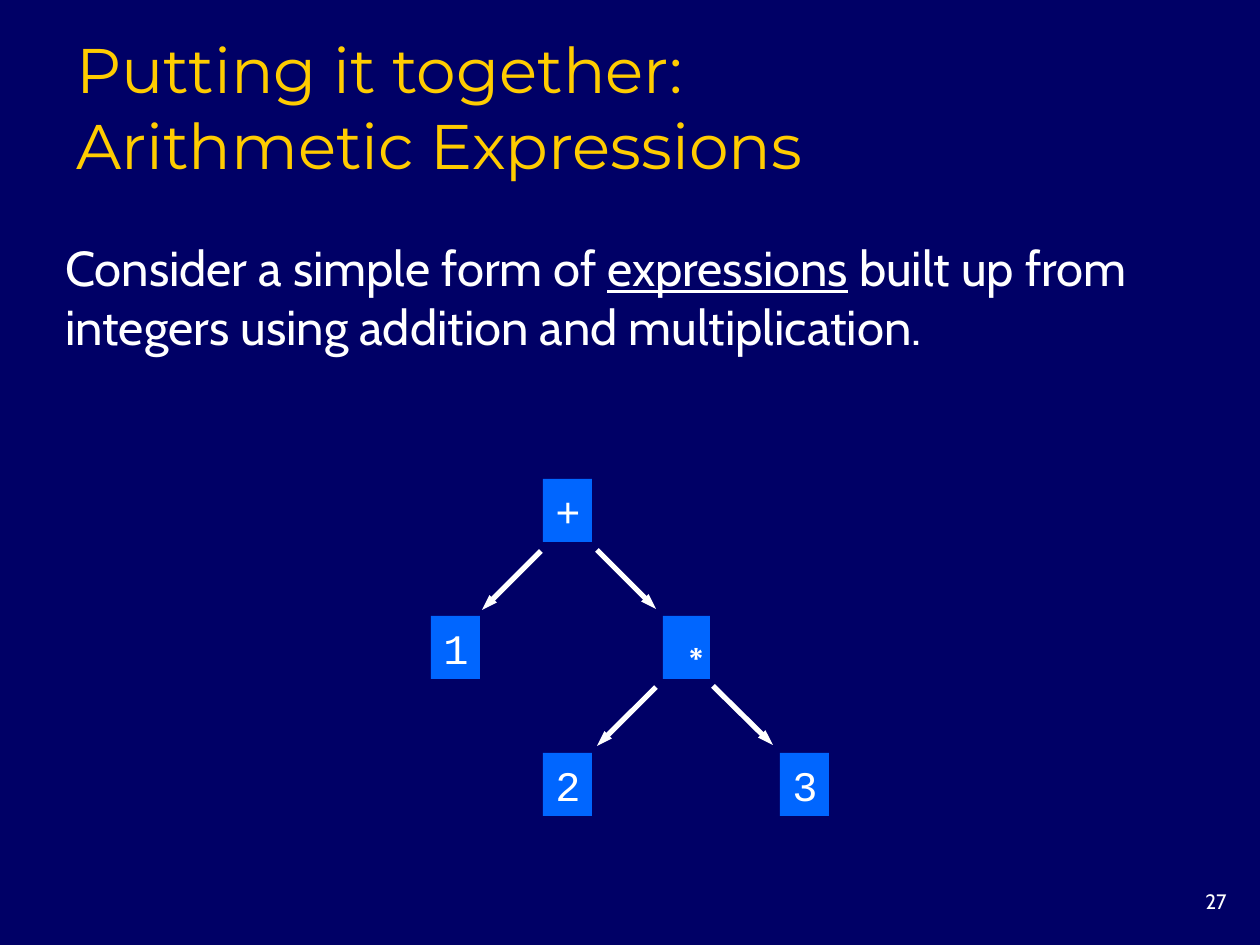
import pptx
import pptx.util
import pptx.dml.color
import pptx.enum.shapes
import pptx.enum.text
import pptx.oxml.ns
import lxml.etree

PX = 914400 / 126
COLORS = {"background": "000066", "title": "FFCC00", "text": "FFFFFF", "node": "0066FF"}
ALIGN = pptx.enum.text.PP_ALIGN
ANCHOR = pptx.enum.text.MSO_ANCHOR
AUTO_SIZE = pptx.enum.text.MSO_AUTO_SIZE


def emu(*lengths):
    return [pptx.util.Emu(round(length * PX)) for length in lengths]


def write(box, spans, font, size, color="text", align=ALIGN.LEFT, **frame_format):
    """Fill a shape with one paragraph of (text, underlined) spans."""
    for name, value in frame_format.items():
        setattr(box.text_frame, name, value)
    para = box.text_frame.paragraphs[0]
    para.alignment = align
    for text, underlined in spans:
        if text == "\n":
            para.add_line_break()
            continue
        span = para.add_run()
        span.text = text
        style = {"name": font, "size": pptx.util.Pt(size), "underline": underlined}
        for name, value in style.items():
            setattr(span.font, name, value)
        span.font.color.rgb = pptx.dml.color.RGBColor.from_string(COLORS[color])


deck = pptx.Presentation()
deck.slide_width, deck.slide_height = emu(1260, 945)
slide = deck.slides.add_slide(deck.slide_layouts[6])
slide.background.fill.solid()
slide.background.fill.fore_color.rgb = pptx.dml.color.RGBColor.from_string(COLORS["background"])

number = slide.shapes.add_textbox(*emu(1155, 882, 84, 42))
write(number, [("27", False)], "Cabin", 11.9, align=ALIGN.RIGHT, word_wrap=True)

title = slide.shapes.add_textbox(*emu(64, 93, 1071, 95))
write(title, [("Putting it together:", False), ("\n", False), ("Arithmetic Expressions", False)],
      "Montserrat", 36, "title", word_wrap=True, vertical_anchor=ANCHOR.BOTTOM)

body = slide.shapes.add_textbox(*emu(53, 231, 1147, 131))
write(body, [("Consider a simple form of ", False), ("expressions", True),
             (" built up from integers using addition and multiplication.", False)],
      "Cabin", 28, word_wrap=True, vertical_anchor=ANCHOR.MIDDLE,
      auto_size=AUTO_SIZE.SHAPE_TO_FIT_TEXT)

# Expression tree: label, left, level, width, font
tree = slide.shapes.add_group_shape()
nodes = [
    ("1", 431, 1, 49, "Courier New"),
    ("+", 543, 0, 49, "Courier New"),
    ("∗", 663, 1, 47, "Arial"),
    ("3", 780, 2, 49, "Courier New"),
    ("2", 543, 2, 49, "Courier New"),
]
for label, left, level, width, font in nodes:
    node = tree.shapes.add_shape(pptx.enum.shapes.MSO_SHAPE.RECTANGLE,
                                 *emu(left, 479 + 137 * level, width, 63))
    node.shadow.inherit = False
    node.fill.solid()
    node.fill.fore_color.rgb = pptx.dml.color.RGBColor.from_string(COLORS["node"])
    node.line.fill.background()
    write(node, [(label, False)], font, 24, align=ALIGN.CENTER, word_wrap=False,
          vertical_anchor=ANCHOR.MIDDLE, auto_size=AUTO_SIZE.SHAPE_TO_FIT_TEXT)

# Arrows from parent to child: start x, start y, horizontal run
for x, y, run in [(541, 551, -59), (656, 687, -59), (597, 550, 59), (713, 686, 60)]:
    arrow = tree.shapes.add_connector(pptx.enum.shapes.MSO_CONNECTOR.STRAIGHT,
                                      *emu(x, y, x + run, y + 59))
    arrow.line.width = pptx.util.Pt(3)
    arrow.line.color.rgb = pptx.dml.color.RGBColor.from_string(COLORS["text"])
    properties = arrow.element.spPr
    line = properties.find(pptx.oxml.ns.qn("a:ln"))
    lxml.etree.SubElement(line, pptx.oxml.ns.qn("a:tailEnd"), type="triangle", w="sm", len="med")
    lxml.etree.SubElement(properties, pptx.oxml.ns.qn("a:effectLst"))

deck.save("out.pptx")
